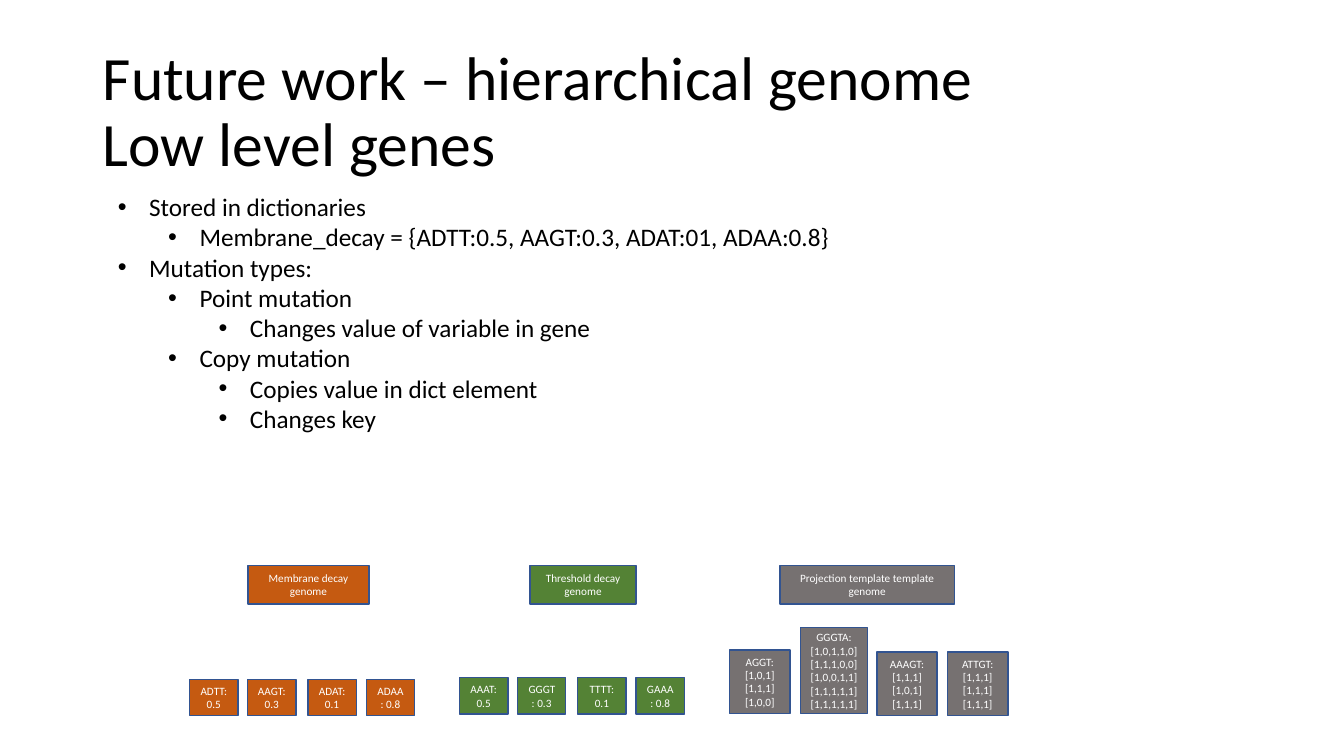
import dataclasses

import pptx
import pptx.dml.color
import pptx.enum.shapes
import pptx.enum.text
import pptx.oxml
import pptx.oxml.ns
import pptx.util

Cm = pptx.util.Cm
Pt = pptx.util.Pt
FONT = "Calibri"
ORANGE, GREEN, GRAY = "C55A11", "548235", "767171"
BLACK, WHITE, OUTLINE = "000000", "FFFFFF", "325491"


@dataclasses.dataclass
class GeneBox:
    left: float
    top: float
    width: float
    height: float
    fill: str
    lines: list[str]


@dataclasses.dataclass
class Bullet:
    level: int
    text: str


TITLE_LINES = ["Future work – hierarchical genome", "Low level genes"]

BULLETS = [
    Bullet(0, "Stored in dictionaries"),
    Bullet(1, "Membrane_decay = {ADTT:0.5, AAGT:0.3, ADAT:01, ADAA:0.8}"),
    Bullet(0, "Mutation types:"),
    Bullet(1, "Point mutation"),
    Bullet(2, "Changes value of variable in gene"),
    Bullet(1, "Copy mutation"),
    Bullet(2, "Copies value in dict element"),
    Bullet(2, "Changes key"),
]

GENOMES = [
    GeneBox(6.25, 14.25, 3.05, 0.97, ORANGE, ["Membrane decay genome"]),
    GeneBox(13.36, 14.25, 2.67, 0.97, GREEN, ["Threshold decay genome"]),
    GeneBox(19.66, 14.25, 4.39, 0.97, GRAY, ["Projection template template genome"]),
]

TEMPLATE_GENES = [
    GeneBox(18.39, 16.38, 1.52, 1.6, GRAY, ["AGGT: [1,0,1]", "[1,1,1]", "[1,0,0]"]),
    GeneBox(20.17, 15.82, 1.7, 2.16, GRAY,
            ["GGGTA: [1,0,1,1,0]", "[1,1,1,0,0]", "[1,0,0,1,1]", "[1,1,1,1,1]", "[1,1,1,1,1]"]),
    GeneBox(22.1, 16.43, 1.52, 1.6, GRAY, ["AAAGT: [1,1,1]", "[1,0,1]", "[1,1,1]"]),
    GeneBox(23.88, 16.43, 1.52, 1.6, GRAY, ["ATTGT: [1,1,1]", "[1,1,1]", "[1,1,1]"]),
]


def color(value: str) -> pptx.dml.color.RGBColor:
    return pptx.dml.color.RGBColor.from_string(value)


def add_span(para, text: str, size: float, ink: str) -> None:
    span = para.add_run()
    span.text = text
    span.font.name = FONT
    span.font.size = Pt(size)
    span.font.color.rgb = color(ink)


def add_text_frame(page, left: float, top: float, width: float, height: float):
    box = page.shapes.add_textbox(Cm(left), Cm(top), Cm(width), Cm(height))
    box.text_frame.word_wrap = True
    return box.text_frame


def next_para(frame, index: int):
    return frame.add_paragraph() if index else frame.paragraphs[0]


def gene_row(left: float, top: float, fill: str, genes: list[str]) -> list[GeneBox]:
    offsets = (0, 1.46, 2.98, 4.45)
    return [GeneBox(left + offset, top, 1.22, 0.91, fill, [gene])
            for offset, gene in zip(offsets, genes)]


def draw_title(page) -> None:
    frame = add_text_frame(page, 2.34, 1.02, 29.21, 3.68)
    frame.vertical_anchor = pptx.enum.text.MSO_ANCHOR.MIDDLE
    para = frame.paragraphs[0]
    para.line_spacing = 0.9
    for index, line in enumerate(TITLE_LINES):
        if index:
            para.add_line_break()
        add_span(para, line, 44, BLACK)


def draw_bullets(page) -> None:
    frame = add_text_frame(page, 2.72, 4.7, 19.02, 7.19)
    for index, bullet in enumerate(BULLETS):
        para = next_para(frame, index)
        para.level = bullet.level
        properties = para._p.get_or_add_pPr()
        properties.set("marL", str(Cm(0.79 + 1.27 * bullet.level)))
        properties.set("indent", str(-Cm(0.79)))
        for tag, name, value in (("a:buFont", "typeface", "Arial"), ("a:buChar", "char", "•")):
            mark = pptx.oxml.parse_xml(f"<{tag} {pptx.oxml.ns.nsdecls('a')}/>")
            mark.set(name, value)
            properties.append(mark)
        add_span(para, bullet.text, 18, BLACK)


def draw_gene_box(page, gene: GeneBox) -> None:
    box = page.shapes.add_shape(
        pptx.enum.shapes.MSO_SHAPE.RECTANGLE,
        Cm(gene.left), Cm(gene.top), Cm(gene.width), Cm(gene.height))
    box.shadow.inherit = False
    box.fill.solid()
    box.fill.fore_color.rgb = color(gene.fill)
    box.line.color.rgb = color(OUTLINE)
    box.line.width = Pt(1)
    frame = box.text_frame
    frame.word_wrap = True
    frame.vertical_anchor = pptx.enum.text.MSO_ANCHOR.MIDDLE
    for index, line in enumerate(gene.lines):
        para = next_para(frame, index)
        para.alignment = pptx.enum.text.PP_ALIGN.CENTER
        add_span(para, line, 8, WHITE)


def main() -> None:
    deck = pptx.Presentation()
    deck.slide_width, deck.slide_height = Cm(33.87), Cm(19.05)
    page = deck.slides.add_slide(deck.slide_layouts[6])

    # Title
    draw_title(page)

    # Genome headings and the genes below them
    membrane = gene_row(4.78, 17.12, ORANGE, ["ADTT: 0.5", "AAGT: 0.3", "ADAT: 0.1", "ADAA: 0.8"])
    threshold = gene_row(11.58, 17.08, GREEN, ["AAAT: 0.5", "GGGT: 0.3", "TTTT: 0.1", "GAAA: 0.8"])
    for gene in GENOMES + membrane + threshold + TEMPLATE_GENES:
        draw_gene_box(page, gene)

    # Bullet list
    draw_bullets(page)

    deck.save("out.pptx")


if __name__ == "__main__":
    main()
